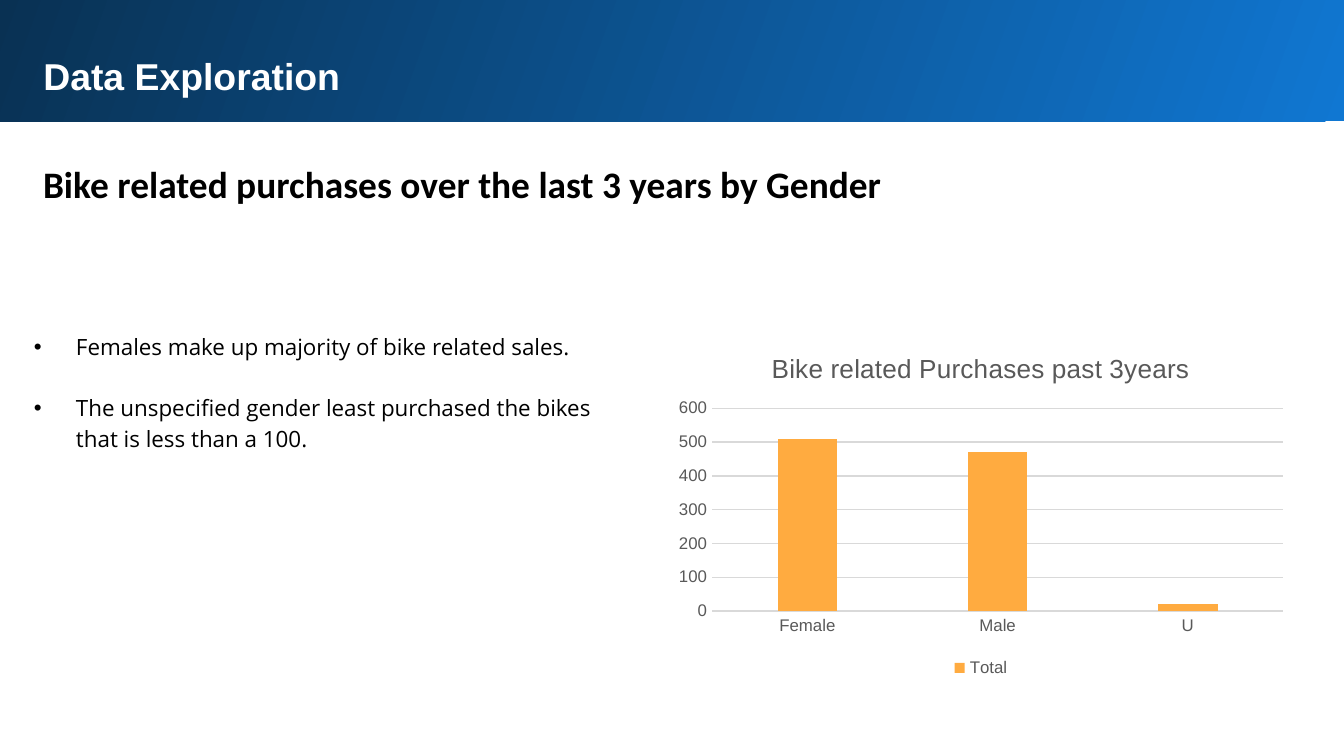
"""Build the Data Exploration slide with bike purchases by gender."""
import pptx
import pptx.chart.data
import pptx.dml.color
import pptx.enum.chart
import pptx.enum.shapes
import pptx.enum.text
import pptx.oxml
import pptx.oxml.ns
import pptx.util

Pt = pptx.util.Pt
enum = pptx.enum

TITLE = "Data Exploration"
HEAD = "Bike related purchases over the last 3 years by Gender"
POINTS = [
    "Females make up majority of bike related sales.",
    "The unspecified gender least purchased the bikes that is less than a 100.",
]
CHART = "Bike related Purchases past 3years"
SALES = {"Female": 510, "Male": 470, "U": 20}

COLORS = {"light": "1077D2", "dark": "093153", "white": "FFFFFF", "black": "000000",
          "gray": "595959", "grid": "D9D9D9", "bar": "FFAB40"}
BOXES = {"band": (-1.5, -1.5, 723.5, 66.5), "title": (16, 21, 674.5, 36.5),
         "head": (16, 75.5, 674.5, 41), "list": (11, 137.5, 325.5, 114),
         "chart": (357, 178, 337, 188)}
FONTS = {
    "title": {"name": "Arial", "size": Pt(20), "bold": True, "color": "white"},
    "head": {"name": "Calibri", "size": Pt(20), "bold": True, "color": "black"},
    "list": {"name": "Open Sans", "size": Pt(12), "bold": False, "color": "black"},
    "chart": {"name": "Arial", "size": Pt(14), "bold": False, "color": "gray"},
    "label": {"name": "Arial", "size": Pt(9), "bold": False, "color": "gray"},
}
FRAME = {"word_wrap": True, "auto_size": enum.text.MSO_AUTO_SIZE.NONE,
         "vertical_anchor": enum.text.MSO_ANCHOR.TOP, "margin_left": Pt(7.2),
         "margin_right": Pt(7.2), "margin_top": Pt(7.2), "margin_bottom": Pt(7.2)}
PARA = {"alignment": enum.text.PP_ALIGN.LEFT, "space_before": Pt(0), "space_after": Pt(0)}


def rgb(key):
    return pptx.dml.color.RGBColor.from_string(COLORS[key])


def assign(item, values):
    for key, value in values.items():
        setattr(item, key, value)


def box(key):
    return [Pt(n) for n in BOXES[key]]


def style(font, key):
    for name, value in FONTS[key].items():
        if name == "color":
            font.color.rgb = rgb(value)
        else:
            setattr(font, name, value)


def write(shape, key, lines, **extra):
    assign(shape, dict(zip(("left", "top", "width", "height"), box(key))))
    frame = shape.text_frame
    assign(frame, FRAME)
    frame.text = "\n".join(lines)
    for para in frame.paragraphs:
        assign(para, {**PARA, **extra})
        style(para.runs[0].font, key)
    return frame


def rule(line):
    line.color.rgb = rgb("grid")
    line.width = Pt(0.75)


deck = pptx.Presentation()
assign(deck, {"slide_width": Pt(720), "slide_height": Pt(405)})
slide = deck.slides.add_slide(deck.slide_layouts[1])
shapes = slide.shapes

band = shapes.add_shape(enum.shapes.MSO_SHAPE.RECTANGLE, *box("band"))
band.shadow.inherit = False
band.line.fill.background()
band.fill.gradient()
band.fill.gradient_angle = 160
for stop, key in zip(band.fill.gradient_stops, ("light", "dark")):
    stop.color.rgb = rgb(key)
shapes.title.element.addprevious(band.element)

write(shapes.title, "title", [TITLE])
write(shapes.add_textbox(*box("head")), "head", [HEAD], line_spacing=1.15)
frame = write(slide.placeholders[1], "list", POINTS, line_spacing=1.15)
frame.margin_top = Pt(39)
frame.paragraphs[1].space_before = Pt(16)
for para in frame.paragraphs:
    props = para._p.get_or_add_pPr()
    props.set("marL", str(Pt(22.5)))
    props.set("indent", str(-Pt(22.5)))
    mark = pptx.oxml.parse_xml(
        f'<a:buChar {pptx.oxml.ns.nsdecls("a")} char="\u2022"/>')
    props.append(mark)

data = pptx.chart.data.CategoryChartData()
data.categories = list(SALES)
data.add_series("Total", list(SALES.values()))
kind = enum.chart.XL_CHART_TYPE.COLUMN_CLUSTERED
chart = shapes.add_chart(kind, *box("chart"), data).chart
style(chart.font, "label")
chart.has_title = True
chart.chart_title.text_frame.text = CHART
style(chart.chart_title.text_frame.paragraphs[0].runs[0].font, "chart")
chart.has_legend = True
assign(chart.legend, {"position": enum.chart.XL_LEGEND_POSITION.BOTTOM,
                      "include_in_layout": False})
style(chart.legend.font, "label")

plot = chart.plots[0]
assign(plot, {"gap_width": 219, "overlap": -27, "vary_by_categories": False})
fill = plot.series[0].format.fill
fill.solid()
fill.fore_color.rgb = rgb("bar")
for axis in (chart.category_axis, chart.value_axis):
    axis.major_tick_mark = axis.minor_tick_mark = enum.chart.XL_TICK_MARK.NONE
    style(axis.tick_labels.font, "label")
rule(chart.category_axis.format.line)
chart.value_axis.format.line.fill.background()
rule(chart.value_axis.major_gridlines.format.line)

deck.save("out.pptx")
